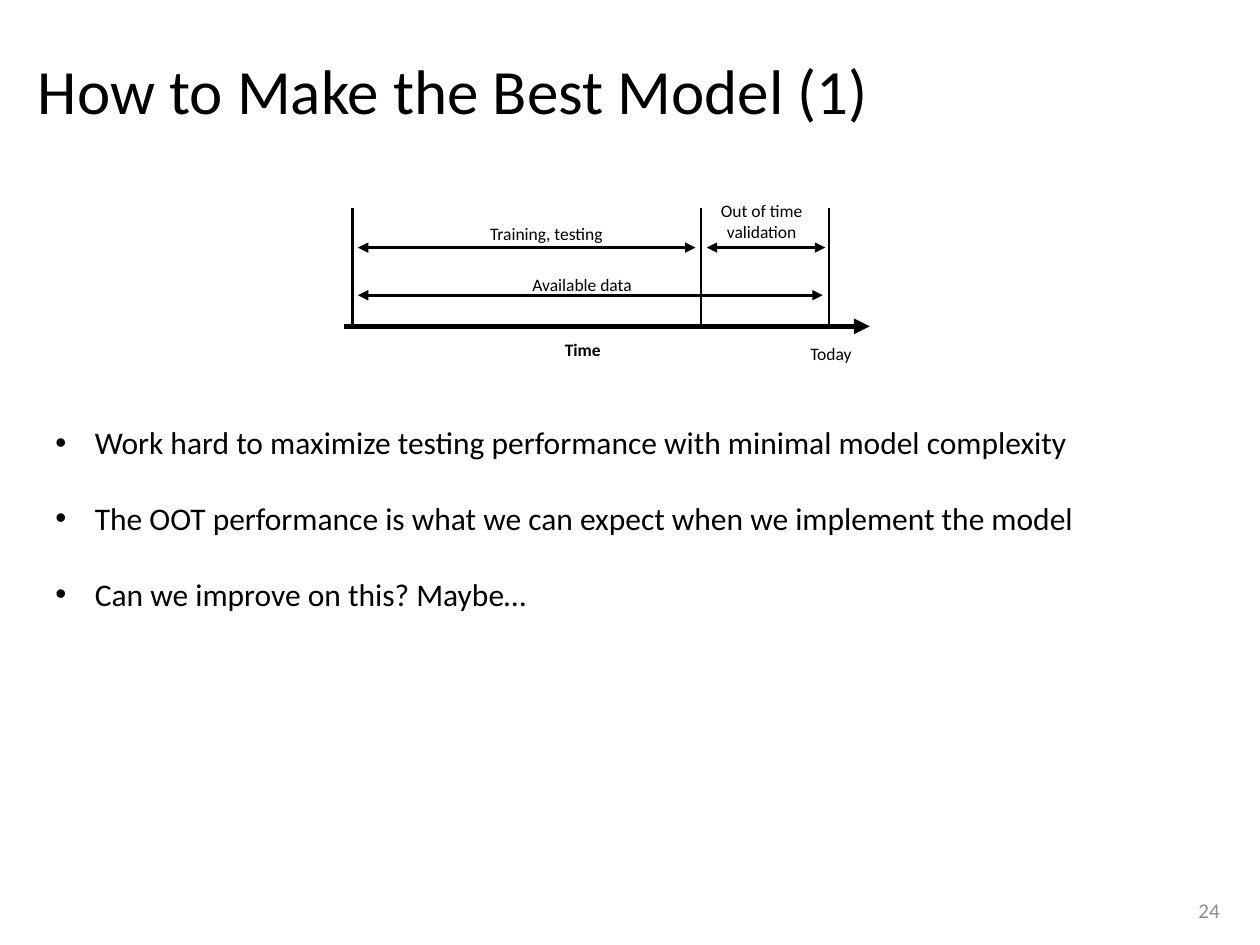
from lxml.etree import SubElement
from pptx import Presentation
from pptx.dml.color import RGBColor
from pptx.enum.shapes import MSO_CONNECTOR
from pptx.enum.text import MSO_ANCHOR as ANCHOR, MSO_AUTO_SIZE as AUTO, PP_ALIGN as ALIGN
from pptx.oxml.ns import qn
from pptx.util import Pt

COLORS = {"ink": "000000", "page": "8C8C8C"}


def put_text(sp, box, lines, size, color="ink", bold=False, frame=None, para=None):
    sp.left, sp.top, sp.width, sp.height = [Pt(v) for v in box]
    tf = sp.text_frame
    tf.word_wrap, tf.auto_size = True, AUTO.NONE
    for name, value in (frame or {}).items():
        setattr(tf, name, value)
    tf.text = "\n".join(lines)
    for p in tf.paragraphs:
        for name, value in (para or {}).items():
            setattr(p, name, value)
        font = p.runs[0].font
        font.name, font.size, font.bold = "Calibri", Pt(size), bold
        font.color.rgb = RGBColor.from_string(COLORS[color])


def add_line(shapes, x1, y1, x2, y2, width=1.5, ends=()):
    line = shapes.add_connector(MSO_CONNECTOR.STRAIGHT, Pt(x1), Pt(y1), Pt(x2), Pt(y2))
    line.line.width = Pt(width)
    line.line.color.rgb = RGBColor.from_string(COLORS["ink"])
    for end in ends:
        SubElement(line.line._get_or_add_ln(), qn(f"a:{end}"), type="triangle")
    SubElement(line._element.spPr, qn("a:effectLst"))


prs = Presentation()
prs.slide_width, prs.slide_height = Pt(720), Pt(540)
s = prs.slides.add_slide(prs.slide_layouts[1])

# Title
put_text(s.shapes.title, (14.4, 41, 693.4, 25.2), ["How to Make the Best Model (1)"], 36,
         frame={"vertical_anchor": ANCHOR.MIDDLE},
         para={"alignment": ALIGN.LEFT, "line_spacing": 0.9})

# Bullet list
body = s.placeholders[1]
put_text(body, (24.5, 238.3, 656.6, 116.6), [
    "Work hard to maximize testing performance with minimal model complexity",
    "The OOT performance is what we can expect when we implement the model",
    "Can we improve on this? Maybe…",
], 18, frame={"vertical_anchor": ANCHOR.TOP},
    para={"space_before": Pt(0), "space_after": Pt(21.6)})
for p in body.text_frame.paragraphs:
    pPr = p._p.get_or_add_pPr()
    pPr.set("marL", str(Pt(22.5)))
    pPr.set("indent", str(-Pt(22.5)))

# Timeline: axis, period boundaries and spans
timeline = s.shapes.add_group_shape().shapes
axis_y = 186.5
add_line(timeline, 196.5, axis_y, 497, axis_y, width=3, ends=["tailEnd"])
for x in (201.5, 400.5, 473.8):
    add_line(timeline, x, 118.8, x, axis_y)
for x1, x2, y in ((204.5, 470.2, 168.7), (204.5, 397.4, 141.5), (403.9, 471.6, 141.5)):
    add_line(timeline, x1, y, x2, y, ends=["headEnd", "tailEnd"])

# Timeline labels: text, center x, top, width, height, bold
no_margins = dict.fromkeys(("margin_left", "margin_top", "margin_right", "margin_bottom"), 0)
for text, center, top, width, height, bold in (
    ("Time", 333, 193.7, 61.2, 12.2, True),
    ("Today", 474.8, 196, 61.2, 12.2, False),
    ("Available data", 332.6, 156.4, 108, 12.2, False),
    ("Training, testing", 312.2, 127.4, 108, 12.2, False),
    ("Out of time validation", 435.2, 113.8, 54, 24.4, False),
):
    box = (center - width / 2, top, width, height)
    put_text(timeline.add_textbox(0, 0, 0, 0), box, [text], 10, bold=bold,
             frame={"vertical_anchor": ANCHOR.BOTTOM, **no_margins},
             para={"alignment": ALIGN.CENTER})

# Page number
put_text(s.shapes.add_textbox(0, 0, 0, 0), (583.9, 510.5, 120.2, 18.7), ["24"], 12, "page",
         frame={"vertical_anchor": ANCHOR.MIDDLE}, para={"alignment": ALIGN.RIGHT})

prs.save("out.pptx")
